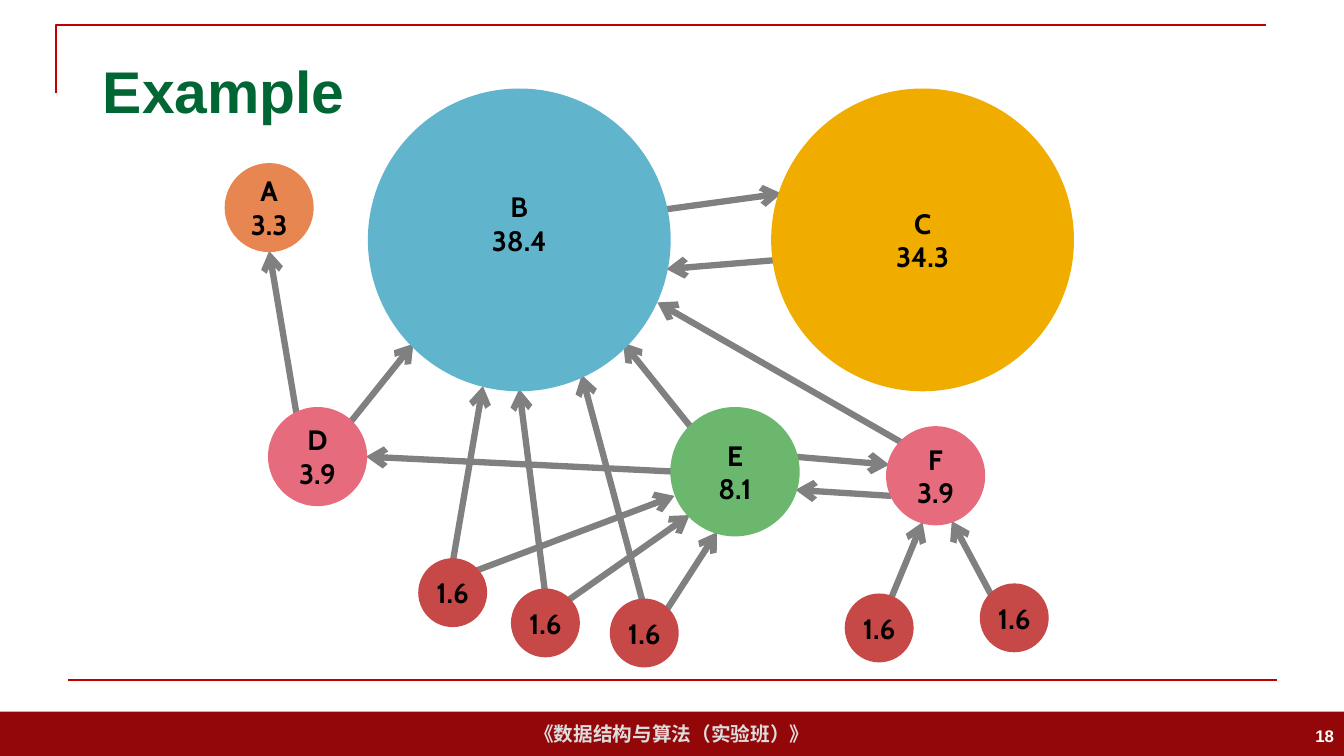
from lxml import etree
from pptx import Presentation
from pptx.dml.color import RGBColor
from pptx.enum.shapes import MSO_CONNECTOR, MSO_SHAPE
from pptx.enum.text import MSO_ANCHOR, MSO_AUTO_SIZE, PP_ALIGN
from pptx.oxml.ns import qn
from pptx.util import Pt

STRAIGHT = MSO_CONNECTOR.STRAIGHT
OVAL, RECTANGLE = MSO_SHAPE.OVAL, MSO_SHAPE.RECTANGLE
MIDDLE = MSO_ANCHOR.MIDDLE
LEFT, CENTER, RIGHT = PP_ALIGN.LEFT, PP_ALIGN.CENTER, PP_ALIGN.RIGHT

SCALE = 9144  # EMU per px, 100 px to the inch
WIDTH, HEIGHT = 1333, 750
TITLE_BOX = (92, 40, 1150, 99)
FOOTER_BOX = (0, 706, WIDTH, 44)
NUMBER_BOX = (1033, 710, 300, 40)
BRACKET = [(56, 92), (56, 25), (1256, 25)]
BASELINE = (67, 675, 1267, 675)

COLORS = {
    "title": "006633", "rule": "C00000", "footer": "940709",
    "footer text": "DDDDDD", "number": "FFFFFF", "label": "000000",
    "arrow": "808080", "blue": "60B5CC", "yellow": "F0AD00",
    "green": "6BB76D", "pink": "E66C7D", "orange": "E88651", "red": "C64847",
}

TITLE = "Example"
FOOTER = "《数据结构与算法（实验班）》"
NUMBER = "18"

# Label lines, centre x, centre y, diameter, colour, bottom inset
NODES = [
    (["B", "38.4"], 515, 238, 292, "blue", 33),
    (["C", "34.3"], 915, 238, 292, "yellow", 0),
    (["E", "8.1"], 729, 468, 120, "green", 0),
    (["F", "3.9"], 928, 472, 90, "pink", 0),
    (["D", "3.9"], 315, 453, 90, "pink", 0),
    (["A", "3.3"], 267, 206, 80, "orange", 0),
]
SMALL_LABEL, SMALL_DIAMETER = "1.6", 60
SMALL_CENTERS = [(449, 588), (541, 618), (639, 628), (872, 623), (1006, 613)]

# Start x, start y, end x, end y
LINKS = [
    (658, 208, 775, 192),  # B to C
    (770, 258, 661, 267),  # C to B
    (687, 426, 618, 340),  # E to B
    (345, 422, 410, 341),  # D to B
    (294, 410, 267, 249),  # D to A
    (449, 558, 479, 383),  # first small to B
    (470, 567, 669, 492),  # first small to E
    (672, 468, 363, 453),  # E to D
    (541, 591, 515, 386),  # second small to B
    (560, 598, 684, 511),  # second small to E
    (660, 607, 711, 528),  # third small to E
    (639, 603, 577, 372),  # third small to B
    (882, 598, 915, 518),  # fourth small to F
    (984, 592, 944, 517),  # fifth small to F
    (896, 440, 652, 300),  # F to B
    (884, 492, 789, 486),  # F to E
    (787, 453, 882, 461),  # E to F
]


def emu(lengths):
    return [length * SCALE for length in lengths]


def color(name):
    return RGBColor.from_string(COLORS[name])


def write(shape, lines, size, font, color_name, align):
    frame = shape.text_frame
    frame.vertical_anchor = MIDDLE
    for index, line in enumerate(lines):
        para = frame.add_paragraph() if index else frame.paragraphs[0]
        para.alignment = align
        span = para.add_run()
        span.text = line
        span.font.size = Pt(size)
        span.font.name = font
        span.font.bold = True
        span.font.color.rgb = color(color_name)
    return frame


def add_filled(page, kind, box, color_name):
    shape = page.shapes.add_shape(kind, *emu(box))
    shape.shadow.inherit = False
    shape.fill.solid()
    shape.fill.fore_color.rgb = color(color_name)
    shape.line.fill.background()
    return shape


def add_line(page, ends, color_name, width):
    line = page.shapes.add_connector(STRAIGHT, *emu(ends))
    line.line.color.rgb = color(color_name)
    line.line.width = Pt(width)
    etree.SubElement(line._element.spPr, qn("a:effectLst"))
    return line


def add_arrow(page, ends):
    arrow = add_line(page, ends, "arrow", 4.5)
    etree.SubElement(arrow.line._get_or_add_ln(), qn("a:tailEnd"), type="arrow")


def add_node(page, lines, x, y, diameter, color_name, bottom):
    box = (x - diameter // 2, y - diameter // 2, diameter, diameter)
    node = add_filled(page, OVAL, box, color_name)
    node.line.color.rgb = color(color_name)
    node.line.width = Pt(6)
    frame = write(node, lines, 20, "Cabin", "label", CENTER)
    frame.word_wrap = False
    frame.margin_left = frame.margin_top = frame.margin_right = 0
    frame.margin_bottom = bottom * SCALE


def add_frame(page):
    """Draw the footer bar, the rules, the title and the slide number."""
    footer = add_filled(page, RECTANGLE, FOOTER_BOX, "footer")
    write(footer, [FOOTER], 14, "Arial", "footer text", CENTER).word_wrap = False

    builder = page.shapes.build_freeform(*BRACKET[0], scale=SCALE)
    builder.add_line_segments(BRACKET[1:], close=False)
    bracket = builder.convert_to_shape()
    bracket.shadow.inherit = False
    bracket.fill.background()
    bracket.line.color.rgb = color("rule")
    bracket.line.width = Pt(1.5)
    add_line(page, BASELINE, "rule", 1.5)

    title = page.shapes.title
    title.left, title.top, title.width, title.height = emu(TITLE_BOX)
    frame = write(title, [TITLE], 42, "Arial", "title", LEFT)
    frame.auto_size = MSO_AUTO_SIZE.NONE

    number = page.shapes.add_textbox(*emu(NUMBER_BOX))
    write(number, [NUMBER], 12, "Arial", "number", RIGHT).word_wrap = True


def main():
    deck = Presentation()
    deck.slide_width, deck.slide_height = emu((WIDTH, HEIGHT))
    page = deck.slides.add_slide(deck.slide_layouts[5])
    add_frame(page)
    for ends in LINKS:
        add_arrow(page, ends)
    small_nodes = [([SMALL_LABEL], x, y, SMALL_DIAMETER, "red", 0)
                   for x, y in SMALL_CENTERS]
    for node in NODES + small_nodes:
        add_node(page, *node)
    deck.save("out.pptx")


if __name__ == "__main__":
    main()
